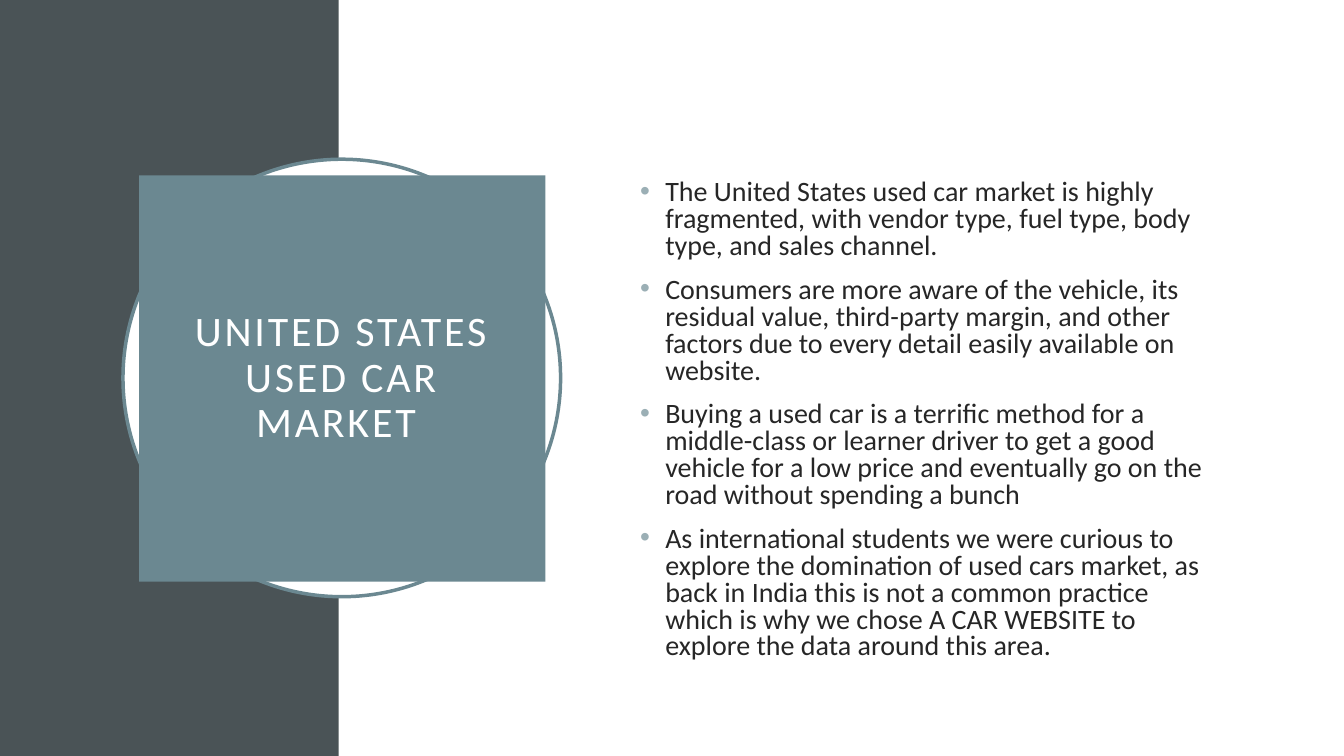
"""Build the slide introducing the United States used car market."""
from dataclasses import dataclass

from lxml.etree import SubElement
from pptx import Presentation
from pptx.dml.color import RGBColor
from pptx.enum.shapes import MSO_SHAPE
from pptx.enum.text import MSO_ANCHOR, PP_ALIGN
from pptx.oxml.ns import qn
from pptx.shapes.autoshape import Shape
from pptx.slide import Slide
from pptx.text.text import _Paragraph as Paragraph
from pptx.util import Inches, Pt

COLORS = {
    "panel": "4A5356",
    "accent": "6B8891",
    "bullet": "9BAFB5",
    "text": "262626",
    "white": "FFFFFF",
}
FONT = "Calibri"
TITLE = "UNITED STATES USED CAR MARKET "
POINTS = (
    "The United States used car market is highly fragmented, with vendor type, "
    "fuel type, body type, and sales channel.",
    "Consumers are more aware of the vehicle, its residual value, third-party margin, "
    "and other factors due to every detail easily available on website.",
    "Buying a used car is a terrific method for a middle-class or learner driver to get "
    "a good vehicle for a low price and eventually go on the road without spending a bunch",
    "As international students we were curious to explore the domination of used cars "
    "market, as back in India this is not a common practice which is why we chose "
    "A CAR WEBSITE to explore the data around this area.",
)


@dataclass(frozen=True)
class Panel:
    kind: MSO_SHAPE
    left: float
    top: float
    width: float
    height: float
    fill: str
    line: str | None = None


SIDE_BAND = Panel(MSO_SHAPE.RECTANGLE, 0, 0, 3.36, 7.5, "panel")
RING = Panel(MSO_SHAPE.OVAL, 1.22, 1.58, 4.34, 4.34, "white", "accent")
TITLE_BLOCK = Panel(MSO_SHAPE.RECTANGLE, 1.38, 1.74, 4.03, 4.03, "accent")


def color(name: str) -> RGBColor:
    return RGBColor.from_string(COLORS[name])


def add_panel(slide: Slide, panel: Panel) -> Shape:
    shape = slide.shapes.add_shape(
        panel.kind, Inches(panel.left), Inches(panel.top),
        Inches(panel.width), Inches(panel.height),
    )
    shape.shadow.inherit = False
    shape.fill.solid()
    shape.fill.fore_color.rgb = color(panel.fill)
    if panel.line:
        shape.line.color.rgb = color(panel.line)
        shape.line.width = Pt(2.5)
    else:
        shape.line.fill.background()
    return shape


def style_font(paragraph: Paragraph, size: float, color_name: str) -> None:
    paragraph.font.name = FONT
    paragraph.font.size = Pt(size)
    paragraph.font.color.rgb = color(color_name)


def add_bullet(paragraph: Paragraph) -> None:
    properties = paragraph._p.get_or_add_pPr()
    properties.set("marL", str(Inches(0.38)))
    properties.set("indent", str(Inches(-0.25)))
    bullet_color = SubElement(properties, qn("a:buClr"))
    SubElement(bullet_color, qn("a:srgbClr"), val=COLORS["bullet"])
    SubElement(properties, qn("a:buFont"), typeface="Arial")
    SubElement(properties, qn("a:buChar"), char="•")


def write_title(shape: Shape) -> None:
    frame = shape.text_frame
    frame.word_wrap = True
    frame.vertical_anchor = MSO_ANCHOR.MIDDLE
    frame.margin_left = frame.margin_right = Inches(0.2)
    frame.margin_top = frame.margin_bottom = Inches(0.2)
    paragraph = frame.paragraphs[0]
    paragraph.alignment = PP_ALIGN.CENTER
    paragraph.line_spacing = 0.9
    run = paragraph.add_run()
    run.text = TITLE
    run._r.get_or_add_rPr().set("spc", "200")
    style_font(paragraph, 30, "white")


def add_points(slide: Slide) -> None:
    box = slide.shapes.add_textbox(Inches(6.12), Inches(1.53), Inches(6), Inches(5.29))
    frame = box.text_frame
    frame.word_wrap = True
    frame.vertical_anchor = MSO_ANCHOR.MIDDLE
    for index, point in enumerate(POINTS):
        paragraph = frame.add_paragraph() if index else frame.paragraphs[0]
        paragraph.text = point
        add_bullet(paragraph)
        paragraph.line_spacing = 0.8
        paragraph.space_before = Pt(10 if index else 0)
        paragraph.space_after = Pt(2)
        style_font(paragraph, 20, "text")


def main() -> None:
    presentation = Presentation()
    presentation.slide_width = Inches(13.33)
    presentation.slide_height = Inches(7.5)
    slide = presentation.slides.add_slide(presentation.slide_layouts[6])
    add_panel(slide, SIDE_BAND)
    add_panel(slide, RING)
    write_title(add_panel(slide, TITLE_BLOCK))
    add_points(slide)
    presentation.save("out.pptx")


if __name__ == "__main__":
    main()
